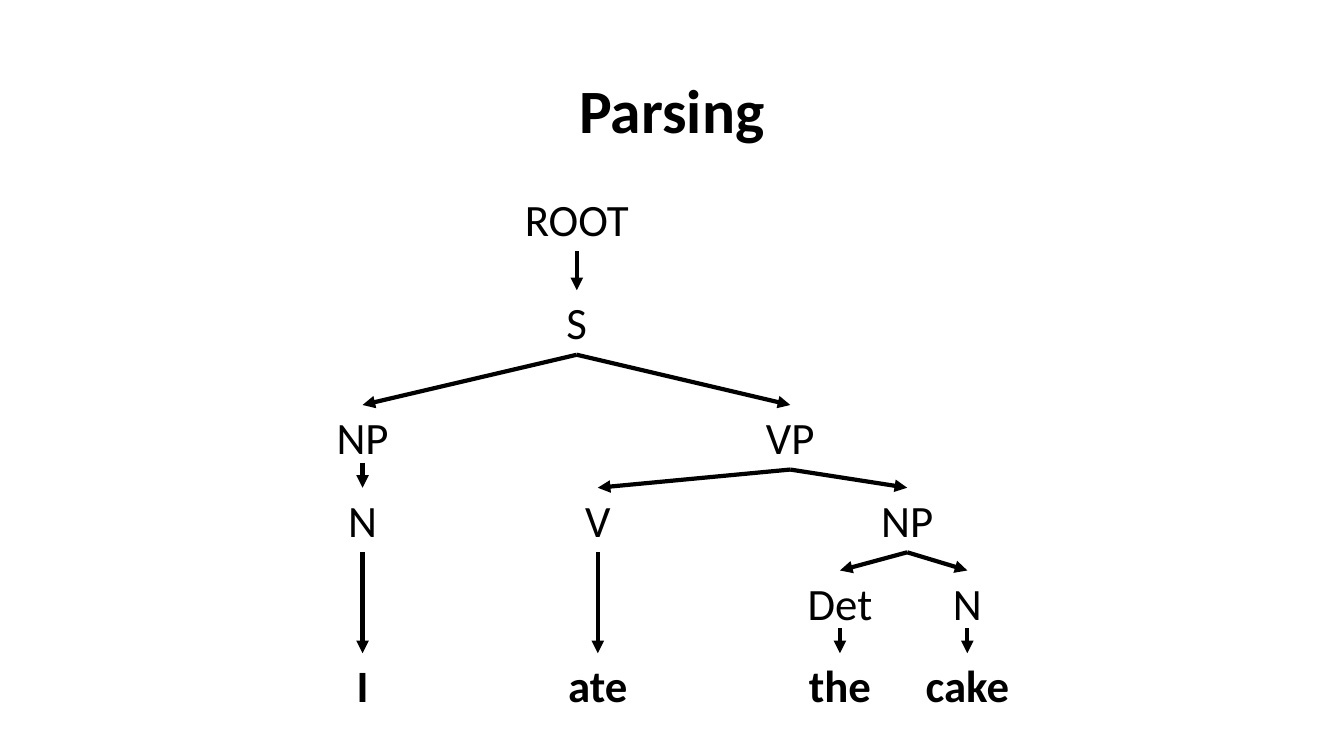
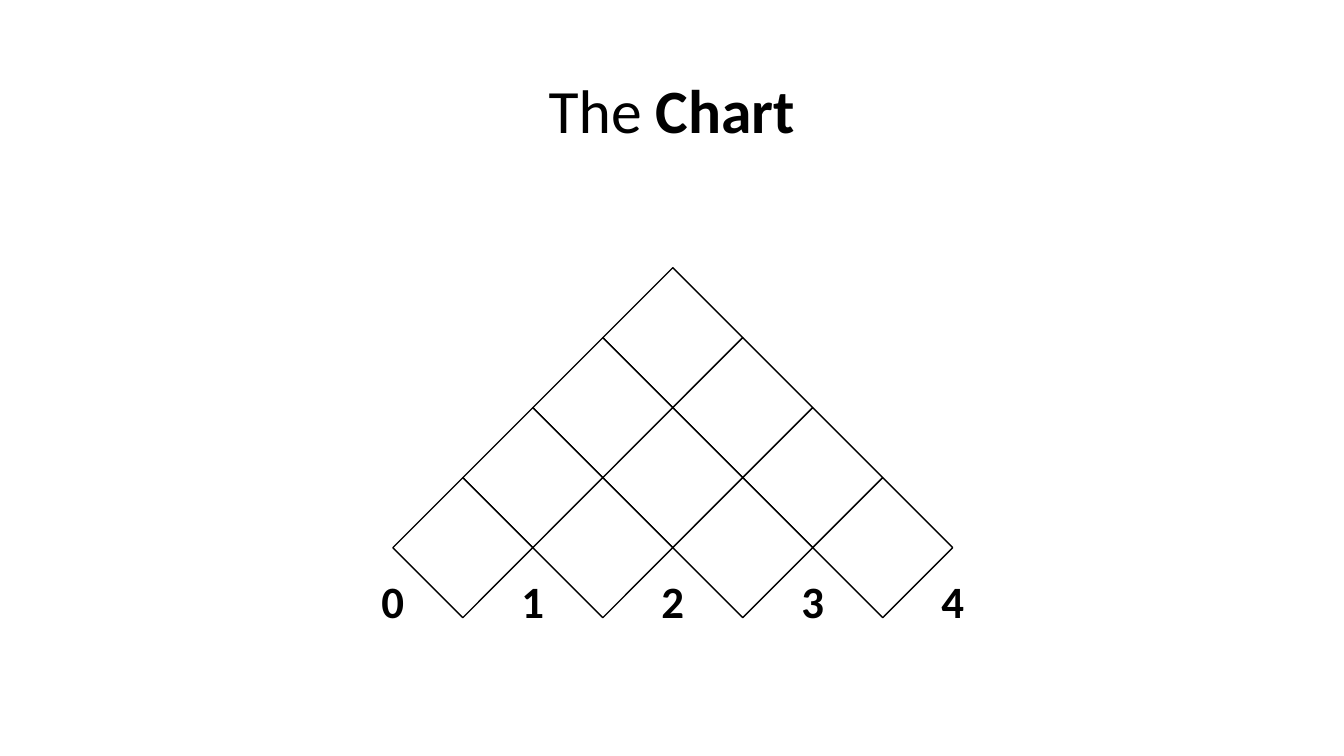
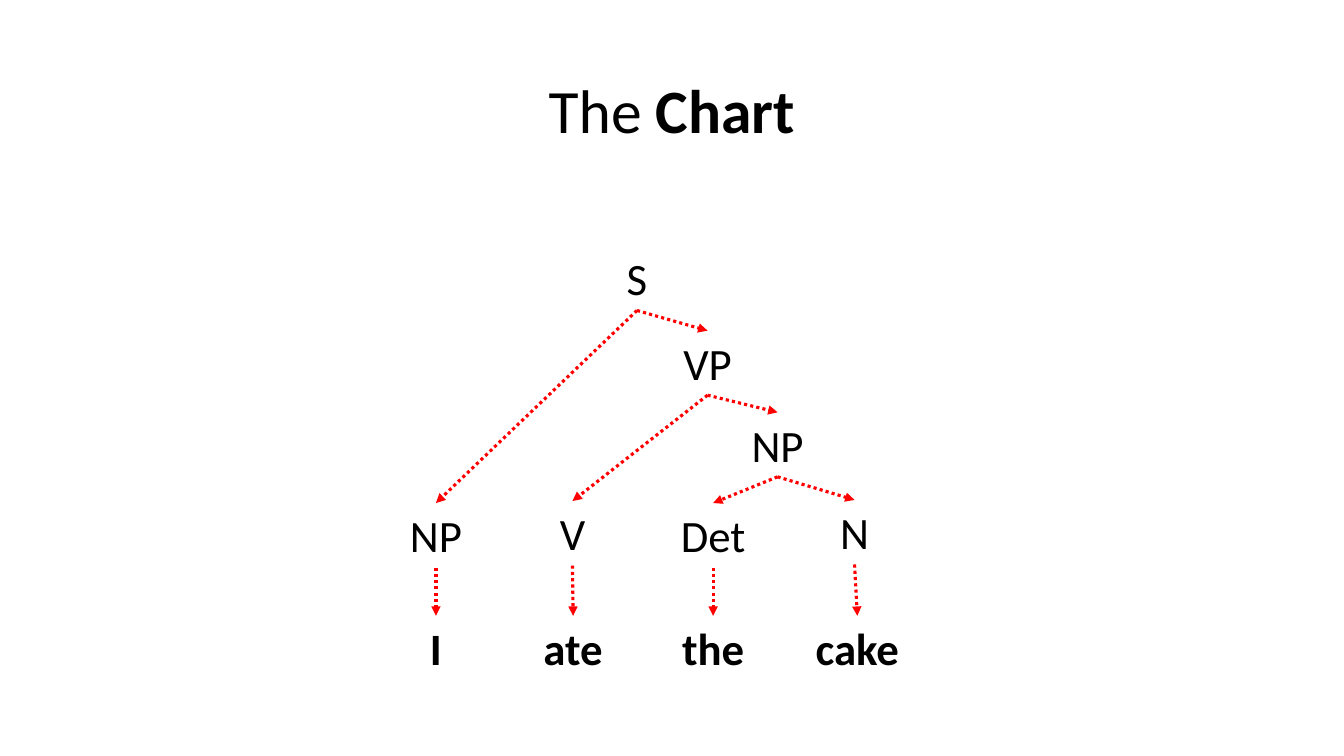
from math import sqrt
from typing import NamedTuple

from pptx import Presentation
from pptx.dml.color import RGBColor
from pptx.enum.dml import MSO_LINE
from pptx.enum.shapes import MSO_CONNECTOR, MSO_SHAPE
from pptx.enum.text import MSO_ANCHOR, MSO_AUTO_SIZE, PP_ALIGN
from pptx.oxml.ns import qn
from pptx.util import Pt
from lxml.etree import SubElement

# Shared style
BLACK = RGBColor(0x00, 0x00, 0x00)
WHITE = RGBColor(0xFF, 0xFF, 0xFF)
RED = RGBColor(0xFF, 0x00, 0x00)
FONT = "Calibri"
TITLE_SIZE = 44
LABEL_SIZE = 32
LABEL_HEIGHT = 46.1
TITLE_BOX = (66, 28.8, 828, 104.4)
TITLE_ONLY_LAYOUT = 5


class Box(NamedTuple):
    left: float
    top: float


class Node(NamedTuple):
    """A tree node; center and top are relative to the box of the tree."""
    text: str
    center: float
    top: float
    width: float
    children: tuple = ()
    bold: bool = False


class ArrowStyle(NamedTuple):
    color: RGBColor
    width: float
    dash: MSO_LINE = None


SOLID_ARROW = ArrowStyle(BLACK, 3)
DOTTED_ARROW = ArrowStyle(RED, 2.25, MSO_LINE.ROUND_DOT)
SHORTEST_DROP = 18  # least length of a vertical arrow


# Basic parts
def add_run(paragraph, text, size=LABEL_SIZE, bold=False, color=BLACK):
    run = paragraph.add_run()
    run.text = text
    run.font.name = FONT
    run.font.size = Pt(size)
    run.font.bold = bold
    run.font.color.rgb = color


def add_label(slide, text, center, top, width, **text_format):
    shape = slide.shapes.add_textbox(
        Pt(center - width / 2), Pt(top), Pt(width), Pt(LABEL_HEIGHT))
    frame = shape.text_frame
    frame.word_wrap = True
    frame.auto_size = MSO_AUTO_SIZE.SHAPE_TO_FIT_TEXT
    paragraph = frame.paragraphs[0]
    paragraph.alignment = PP_ALIGN.CENTER
    add_run(paragraph, text, **text_format)


def add_arrow(slide, start, end, style):
    connector = slide.shapes.add_connector(
        MSO_CONNECTOR.STRAIGHT, *(Pt(value) for value in (*start, *end)))
    line = connector.line
    line.color.rgb = style.color
    line.width = Pt(style.width)
    if style.dash is not None:
        line.dash_style = style.dash
    properties = connector._element.spPr
    SubElement(properties.find(qn("a:ln")), qn("a:tailEnd"), type="triangle")
    SubElement(properties, qn("a:effectLst"))


def add_slide(presentation, *title_parts):
    """Add a slide whose title is made of (text, bold) parts."""
    slide = presentation.slides.add_slide(
        presentation.slide_layouts[TITLE_ONLY_LAYOUT])
    title = slide.shapes.title
    title.left, title.top, title.width, title.height = map(Pt, TITLE_BOX)
    frame = title.text_frame
    frame.vertical_anchor = MSO_ANCHOR.MIDDLE
    frame.auto_size = MSO_AUTO_SIZE.NONE
    paragraph = frame.paragraphs[0]
    paragraph.alignment = PP_ALIGN.CENTER
    paragraph.line_spacing = 0.9
    for text, bold in title_parts:
        add_run(paragraph, text, size=TITLE_SIZE, bold=bold)
    return slide


# Regions
def draw_tree(slide, box, node, style):
    """Draw a node, the arrows to its children, and their subtrees."""
    center, top = box.left + node.center, box.top + node.top
    add_label(slide, node.text, center, top, node.width, bold=node.bold)
    for child in node.children:
        child_center, child_top = box.left + child.center, box.top + child.top
        start_top = top + LABEL_HEIGHT
        if child.center == node.center:
            start_top = min(start_top, child_top - SHORTEST_DROP)
        add_arrow(slide, (center, start_top), (child_center, child_top), style)
        draw_tree(slide, box, child, style)


def draw_chart_grid(slide, box, levels, diagonal):
    """Draw a triangle of diamond cells with numbered positions below."""
    side = diagonal / sqrt(2)
    apex = box.left + levels * diagonal / 2
    for level in range(levels):
        middle = box.top + (level + 1) * diagonal / 2
        for column in range(level + 1):
            center = apex + (column - level / 2) * diagonal
            cell = slide.shapes.add_shape(
                MSO_SHAPE.RECTANGLE, Pt(center - side / 2),
                Pt(middle - side / 2), Pt(side), Pt(side))
            cell.rotation = 315
            cell.shadow.inherit = False
            cell.fill.solid()
            cell.fill.fore_color.rgb = WHITE
            cell.line.color.rgb = BLACK
            cell.line.width = Pt(1)
    label_top = box.top + (levels + 1) * diagonal / 2 - 35
    for position in range(levels + 1):
        add_label(slide, str(position), box.left + position * diagonal,
                  label_top, 54, bold=True)


# Slides
def word(text, center, top, width):
    return Node(text, center, top, width, bold=True)


def build_parsing_slide(presentation):
    slide = add_slide(presentation, ("Parsing", True))
    row_3, row_4, row_5, words = (156 + 59.1 * step for step in range(4))
    subject = Node("NP", 55, row_3, 60, (
        Node("N", 55, row_4, 110, (word("I", 55, words, 110),)),))
    cake_phrase = Node("NP", 444, row_4, 60, (
        Node("Det", 396, row_5, 62, (word("the", 396, words, 110),)),
        Node("N", 487, row_5, 60, (word("cake", 487, words, 110),))))
    predicate = Node("VP", 360.5, row_3, 60, (
        Node("V", 223, row_4, 60, (word("ate", 223, words, 110),)),
        cake_phrase))
    root = Node("ROOT", 208, 0, 110, (
        Node("S", 208, 74, 110, (subject, predicate)),))
    draw_tree(slide, Box(204, 133.3), root, SOLID_ARROW)


def build_grid_slide(presentation):
    slide = add_slide(presentation, ("The ", False), ("Chart", True))
    draw_chart_grid(slide, Box(280.6, 191.2), levels=4, diagonal=100)


def build_chart_tree_slide(presentation):
    slide = add_slide(presentation, ("The ", False), ("Chart", True))
    words = 264.2
    cake_phrase = Node("NP", 271, 118.8, 54, (
        Node("Det", 225, 183.6, 65, (word("the", 225, words, 68),)),
        Node("N", 326, 181.4, 65, (word("cake", 328, words, 76),))))
    predicate = Node("VP", 221, 60.5, 54, (
        Node("V", 124.5, 182.2, 54, (word("ate", 125, words, 68),)),
        cake_phrase))
    subject = Node("NP", 27, 183.6, 54, (word("I", 27, words, 54),))
    sentence = Node("S", 170.6, 0, 54, (subject, predicate))
    draw_tree(slide, Box(284.4, 175.7), sentence, DOTTED_ARROW)


def main():
    presentation = Presentation()
    presentation.slide_width = Pt(960)
    presentation.slide_height = Pt(540)
    build_parsing_slide(presentation)
    build_grid_slide(presentation)
    build_chart_tree_slide(presentation)
    presentation.save("out.pptx")


if __name__ == "__main__":
    main()
